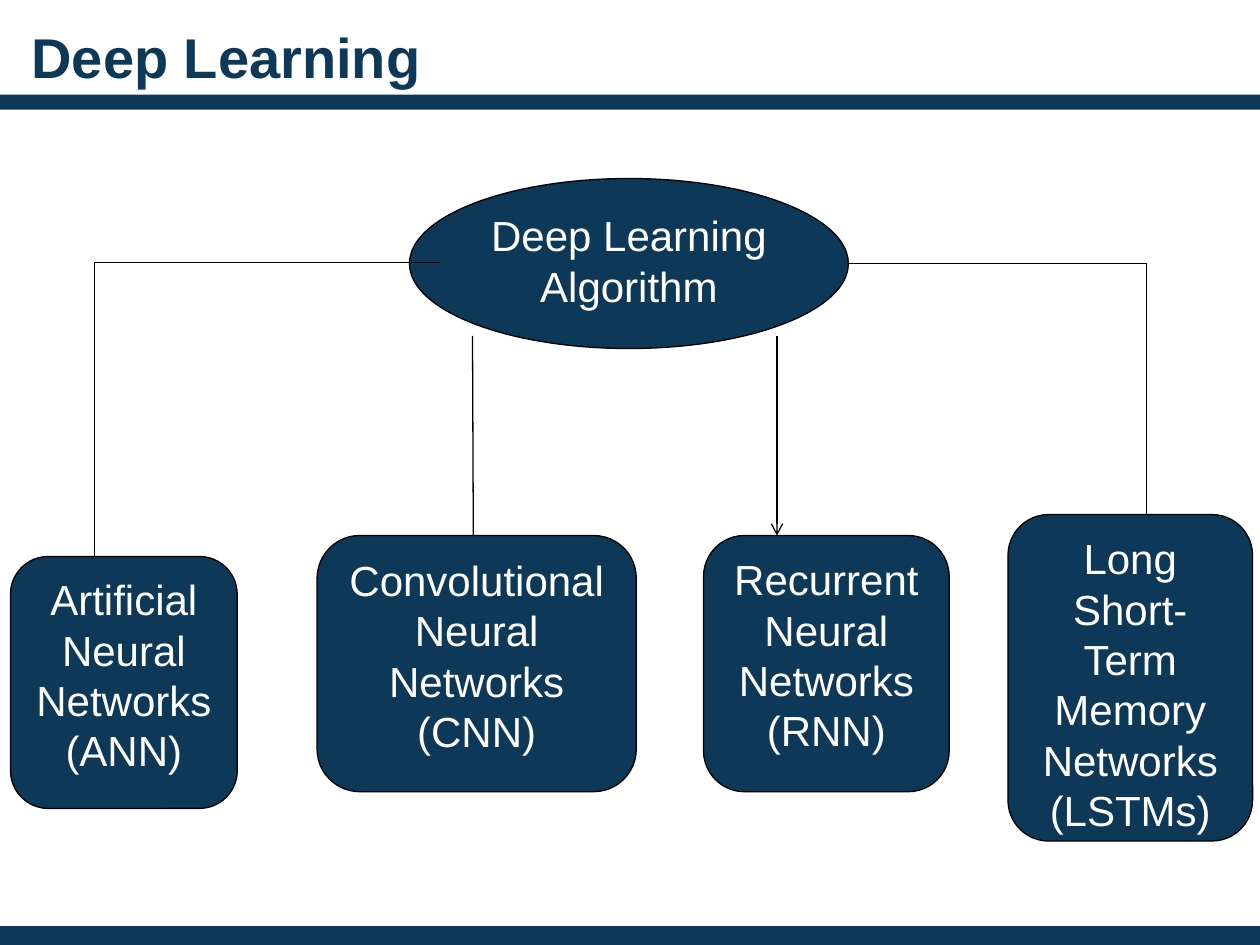
from lxml.etree import SubElement
from pptx import Presentation
from pptx.dml.color import RGBColor
from pptx.enum.shapes import MSO_CONNECTOR, MSO_SHAPE
from pptx.enum.text import MSO_ANCHOR, MSO_AUTO_SIZE, PP_ALIGN
from pptx.oxml.ns import qn
from pptx.util import Inches, Pt

NAVY, WHITE, BLACK = "0D3857", "FFFFFF", "000000"
COLUMNS, ROWS = 120, 90  # grid over the whole slide


def color(hex_string):
    return RGBColor.from_string(hex_string)


def write(frame, text, size=24, hex_color=WHITE, bold=False,
          align=PP_ALIGN.CENTER, anchor=MSO_ANCHOR.TOP):
    frame.word_wrap = True
    frame.auto_size = MSO_AUTO_SIZE.NONE
    frame.vertical_anchor = anchor
    frame.text = text
    for paragraph in frame.paragraphs:
        paragraph.alignment = align
        for run in paragraph.runs:
            run.font.name = "Arial"
            run.font.size = Pt(size)
            run.font.bold = bold
            run.font.color.rgb = color(hex_color)


class DiagramSlide:
    def __init__(self, presentation):
        self.slide = presentation.slides.add_slide(presentation.slide_layouts[5])
        self.shapes = self.slide.shapes
        self.column = presentation.slide_width / COLUMNS
        self.row = presentation.slide_height / ROWS

    def place(self, column, row, width=0, height=0):
        return (round(column * self.column), round(row * self.row),
                round(width * self.column), round(height * self.row))

    def title(self, text, *area):
        title = self.shapes.title
        title.left, title.top, title.width, title.height = self.place(*area)
        frame = title.text_frame
        frame.margin_left = frame.margin_right = 0
        frame.margin_top = frame.margin_bottom = 0
        write(frame, text, size=32, hex_color=NAVY, bold=True,
              align=PP_ALIGN.LEFT, anchor=MSO_ANCHOR.MIDDLE)

    def block(self, kind, *area, text="", outlined=True):
        shape = self.shapes.add_shape(kind, *self.place(*area))
        shape.shadow.inherit = False
        shape.fill.solid()
        shape.fill.fore_color.rgb = color(NAVY)
        if outlined:
            shape.line.color.rgb = color(BLACK)
            shape.line.width = Pt(0.75)
        else:
            shape.line.fill.background()
        if text:
            write(shape.text_frame, text)

    def arrow(self, start, end, bent=False):
        kind = MSO_CONNECTOR.ELBOW if bent else MSO_CONNECTOR.STRAIGHT
        connector = self.shapes.add_connector(
            kind, *self.place(*start)[:2], *self.place(*end)[:2])
        connector.line.color.rgb = color(BLACK)
        connector.line.width = Pt(0.75)
        properties = connector._element.spPr
        if bent:  # a single corner: across, then down
            properties.find(qn("a:prstGeom")).set("prst", "bentConnector2")
        SubElement(properties.find(qn("a:ln")), qn("a:tailEnd"), type="arrow")
        SubElement(properties, qn("a:effectLst"))


def main():
    presentation = Presentation()
    presentation.slide_width, presentation.slide_height = Inches(10), Inches(7.5)
    diagram = DiagramSlide(presentation)

    # Title and the two bars
    for top, height in ((9, 1.44), (88.2, 1.8)):
        diagram.block(MSO_SHAPE.RECTANGLE, 0, top, COLUMNS, height, outlined=False)
    diagram.title("Deep Learning", 3, 2, 99, 6.6)

    # Root of the tree
    diagram.block(MSO_SHAPE.OVAL, 39, 17, 41.8, 16.2, text="Deep Learning Algorithm")

    # Arrows, partly hidden by the boxes drawn after them
    diagram.arrow((41.9, 25), (9, 57.9), bent=True)
    diagram.arrow((80.8, 25.1), (109.2, 66), bent=True)
    diagram.arrow((45, 32), (45.1, 56))
    diagram.arrow((74, 32), (74, 51))

    # Kinds of network: column, row, width, height, text
    networks = (
        (30.2, 51, 30.4, 24.4, "Convolutional Neural Networks\n(CNN)"),
        (67, 51, 23.4, 24.4, "Recurrent Neural Networks\n(RNN)"),
        (96, 49, 23.3, 31.1, "Long Short-Term Memory Networks (LSTMs)"),
        (1, 53, 21.6, 24, "Artificial Neural Networks\n(ANN)"),
    )
    for *area, text in networks:
        diagram.block(MSO_SHAPE.ROUNDED_RECTANGLE, *area, text=text)

    presentation.save("out.pptx")


if __name__ == "__main__":
    main()
